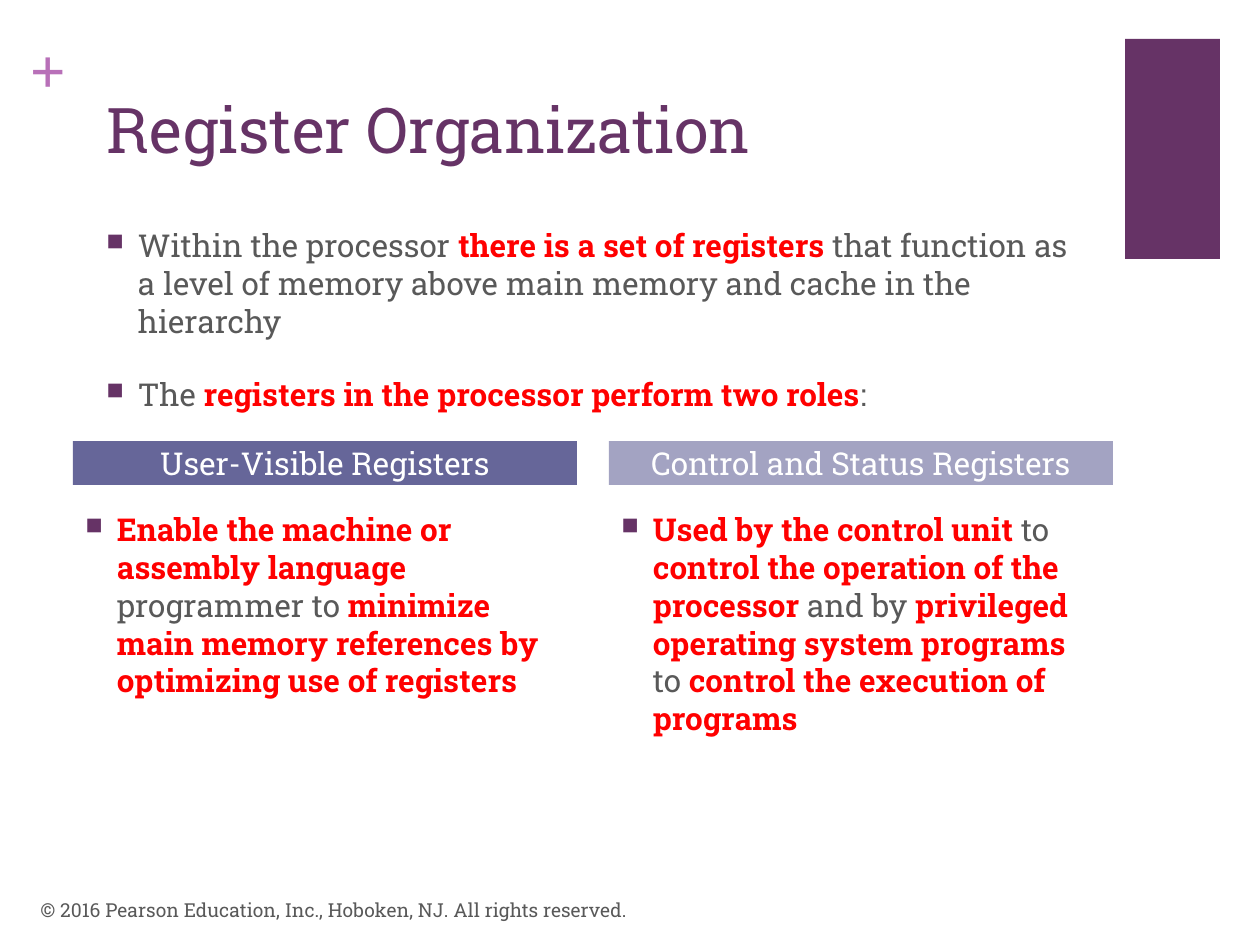
from lxml.etree import SubElement
from pptx import Presentation
from pptx.dml.color import RGBColor
from pptx.enum.shapes import MSO_SHAPE
from pptx.enum.text import MSO_ANCHOR, PP_ALIGN
from pptx.oxml.ns import qn
from pptx.util import Emu, Pt

PX_PER_INCH = 126
FONT = "Roboto Slab"
PURPLE, GRAY, RED, WHITE = "663366", "595959", "FF0000", "FFFFFF"


def px(length):
    return Emu(round(length * 914400 / PX_PER_INCH))


def color(value):
    return RGBColor.from_string(value)


def style(span, size, ink, bold=False, font=FONT):
    span.font.name = font
    span.font.size = Pt(size)
    span.font.bold = bold
    span.font.color.rgb = color(ink)


def add_text_box(page, left, top, width, height):
    box = page.shapes.add_textbox(px(left), px(top), px(width), px(height))
    box.text_frame.word_wrap = True
    return box


def add_label(page, place, text, size, ink, anchor=MSO_ANCHOR.TOP):
    box = add_text_box(page, *place)
    box.text_frame.vertical_anchor = anchor
    box.text_frame.text = text
    style(box.text_frame.paragraphs[0].runs[0], size, ink)


def add_plus(page):
    box = add_text_box(page, 30, 31, 37, 77)
    frame = box.text_frame
    frame.margin_left = frame.margin_right = 0
    frame.margin_top = frame.margin_bottom = 0
    frame.text = "+"
    style(frame.paragraphs[0].runs[0], 36, "B870B8", True, "Times New Roman")


def add_rectangle(page, place, fill):
    box = page.shapes.add_shape(MSO_SHAPE.RECTANGLE, *map(px, place))
    box.shadow.inherit = False
    box.fill.solid()
    box.fill.fore_color.rgb = color(fill)
    box.line.fill.background()
    return box


def add_heading(page, place, text, fill):
    frame = add_rectangle(page, place, fill).text_frame
    frame.margin_top = frame.margin_bottom = 0
    frame.vertical_anchor = MSO_ANCHOR.MIDDLE
    frame.word_wrap = True
    frame.text = text
    frame.paragraphs[0].alignment = PP_ALIGN.CENTER
    style(frame.paragraphs[0].runs[0], 18, WHITE)


def set_bullet(para):
    properties = para._p.get_or_add_pPr()
    properties.set("marL", str(914400 // 4))
    properties.set("indent", str(-914400 // 4))
    ink = SubElement(properties, qn("a:buClr"))
    SubElement(ink, qn("a:srgbClr"), val=PURPLE)
    SubElement(properties, qn("a:buSzPct"), val="75000")
    SubElement(properties, qn("a:buChar"), char="■")


def add_bullets(page, place, items):
    """Each item is a list of (text, emphasized) pairs."""
    frame = add_text_box(page, *place).text_frame
    for index, item in enumerate(items):
        para = frame.add_paragraph() if index else frame.paragraphs[0]
        set_bullet(para)
        if index:
            para.space_before = Pt(20)
        for text, emphasized in item:
            span = para.add_run()
            span.text = text
            style(span, 18, RED if emphasized else GRAY, emphasized)


INTRODUCTION = [
    [
        ("Within the processor ", False),
        ("there is a set of registers ", True),
        ("that function as a level of memory above main memory "
         "and cache in the hierarchy", False),
    ],
    [
        ("The ", False),
        ("registers in the processor perform two roles", True),
        (":", False),
    ],
]

# Heading, heading fill, explanation
ROLES = [
    ("User-Visible Registers", "666699", [
        ("Enable the machine or assembly language ", True),
        ("programmer to ", False),
        ("minimize main memory references by optimizing use of registers", True),
    ]),
    ("Control and Status Registers", "A3A3C2", [
        ("Used by the control unit ", True),
        ("to ", False),
        ("control the operation of the processor", True),
        (" and by ", False),
        ("privileged operating system programs ", True),
        ("to ", False),
        ("control the execution of programs", True),
    ]),
]


def main():
    deck = Presentation()
    deck.slide_width, deck.slide_height = px(1260), px(945)
    page = deck.slides.add_slide(deck.slide_layouts[6])

    # Decoration and title
    add_rectangle(page, (1125, 39, 95, 220), PURPLE)
    add_plus(page)
    add_label(page, (94, 84, 1041, 154), "Register Organization", 36, PURPLE)

    # Introduction
    add_bullets(page, (94, 220, 987, 200), INTRODUCTION)

    # Two columns, one for each role
    for column, (heading, fill, explanation) in enumerate(ROLES):
        left = 73 + column * 536
        add_heading(page, (left, 441, 504, 44), heading, fill)
        add_bullets(page, (left, 504, 504, 300), [explanation])

    # Footer
    add_label(page, (28, 885, 844, 50),
              "© 2016 Pearson Education, Inc., Hoboken, NJ. All rights reserved.",
              11, GRAY, MSO_ANCHOR.MIDDLE)

    deck.save("out.pptx")


if __name__ == "__main__":
    main()
